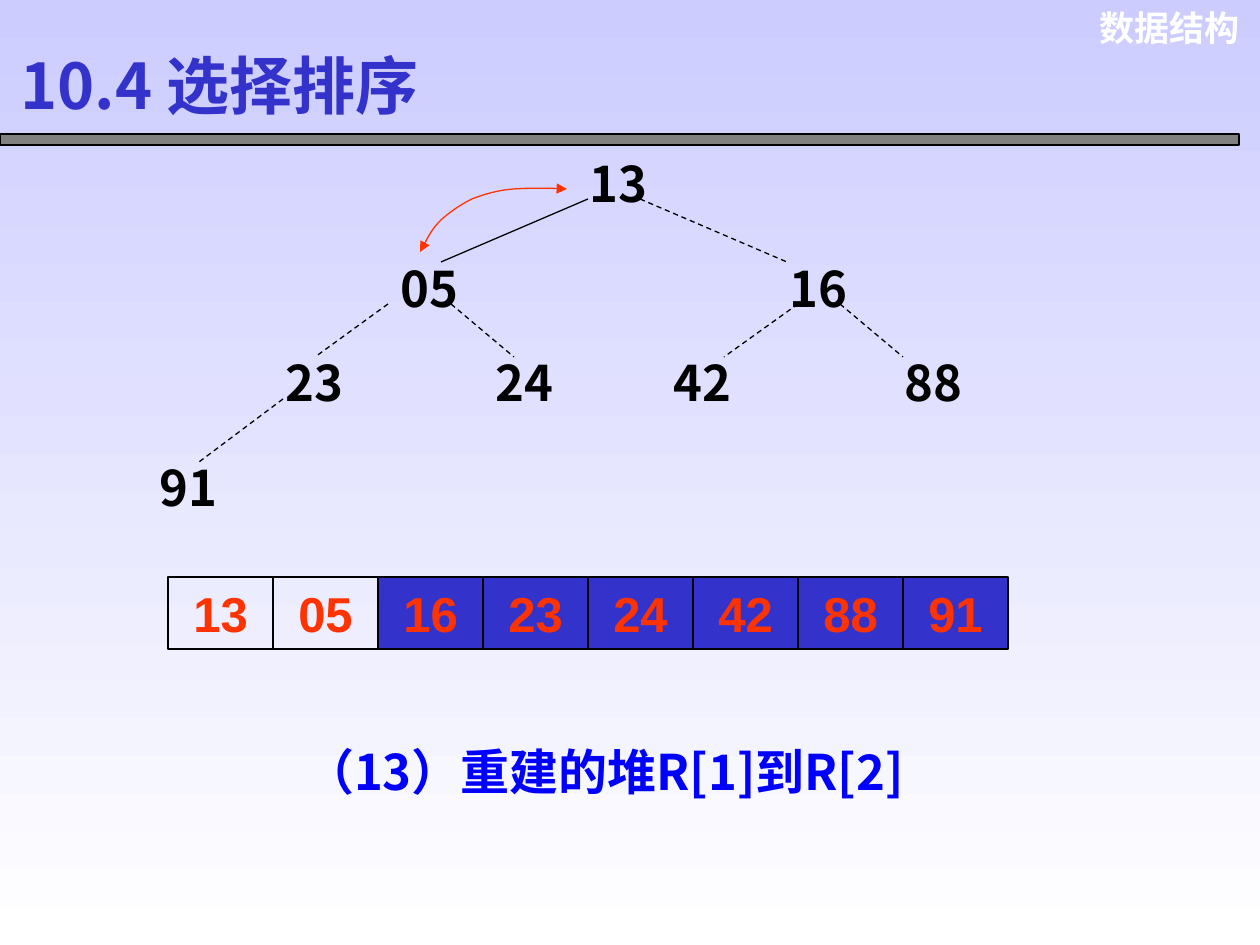
import lxml.etree
import pptx
import pptx.dml.color
import pptx.enum.dml
import pptx.enum.shapes
import pptx.enum.text
import pptx.oxml.ns
import pptx.util

# Content, lengths in px
PX = 914400 / 126
CJK = "Noto Sans CJK SC"
RED, BLUE, BLACK = "FF3300", "3333CC", "000000"

HEADER = "数据结构"
TITLE = "10.4 选择排序"
CAPTION = "（13）重建的堆R[1]到R[2]"

NODE_SIZE = (84, 72)
NODES = [  # text, left, top
    ("13", 577, 147),
    ("05", 388, 252), ("16", 777, 252),
    ("23", 273, 346), ("24", 483, 346), ("42", 661, 346), ("88", 892, 346),
    ("91", 147, 451),
]
EDGES = [  # from, to, dashed
    ((588, 199), (441, 262), False),
    ((640, 199), (787, 262), True),
    ((388, 304), (315, 357), True),
    ((451, 304), (514, 357), True),
    ((798, 304), (724, 357), True),
    ((840, 304), (903, 357), True),
    ((283, 399), (199, 462), True),
]
ARRAY = ["13", "05", "16", "23", "24", "42", "88", "91"]
HEAP_LENGTH = 2
ARRAY_LEFT, ARRAY_TOP, CELL_WIDTH, CELL_HEIGHT = 168, 577, 105, 72

SWAP_START = (420, 252)
SWAP_CURVES = [  # two control points and an end point
    ((426, 241), (432, 229), (441, 220)),
    ((450, 212), (460, 205), (472, 199)),
    ((485, 194), (499, 190), (514, 189)),
    ((530, 188), (548, 188), (567, 189)),
]


def emu(length):
    return pptx.util.Emu(round(length * PX))


def color(value):
    return pptx.dml.color.RGBColor.from_string(value)


def add_child(parent, tag, **attributes):
    return lxml.etree.SubElement(parent, pptx.oxml.ns.qn(tag), attributes)


def write(shape, text, size=28, font=CJK, fill=BLACK, align="LEFT", anchor="TOP"):
    frame = shape.text_frame
    frame.word_wrap = True
    frame.vertical_anchor = getattr(pptx.enum.text.MSO_ANCHOR, anchor)
    para = frame.paragraphs[0]
    para.alignment = getattr(pptx.enum.text.PP_ALIGN, align)
    span = para.add_run()
    span.text = text
    span.font.size = pptx.util.Pt(size)
    span.font.bold = True
    span.font.color.rgb = color(fill)
    span.font.name = font
    add_child(span.font._element, "a:ea", typeface=CJK)


def add_text(page, text, left, top, width, height, **style):
    box = page.shapes.add_textbox(*map(emu, (left, top, width, height)))
    write(box, text, **style)


def set_line(shape, value):
    shape.line.color.rgb = color(value)
    shape.line.width = pptx.util.Pt(0.75)


def add_rectangle(page, left, top, width, height, fill=None):
    box = page.shapes.add_shape(pptx.enum.shapes.MSO_SHAPE.RECTANGLE,
                                *map(emu, (left, top, width, height)))
    box.shadow.inherit = False
    if fill:
        box.fill.solid()
        box.fill.fore_color.rgb = color(fill)
    else:
        box.fill.background()
    set_line(box, BLACK)
    return box


def add_edge(page, start, end, dashed):
    edge = page.shapes.add_connector(pptx.enum.shapes.MSO_CONNECTOR.STRAIGHT,
                                     *map(emu, start + end))
    set_line(edge, BLACK)
    if dashed:
        edge.line.dash_style = pptx.enum.dml.MSO_LINE.DASH
    add_child(edge._element.spPr, "a:effectLst")


def add_swap_arrow(page):
    builder = page.shapes.build_freeform(*SWAP_START, scale=PX)
    anchors = [curve[-1] for curve in SWAP_CURVES]
    builder.add_line_segments(anchors, close=False)
    arrow = builder.convert_to_shape()
    arrow.shadow.inherit = False
    arrow.fill.background()
    set_line(arrow, RED)

    # Turn the straight segments into Bezier curves
    left = min(x for x, y in [SWAP_START] + anchors)
    top = min(y for x, y in [SWAP_START] + anchors)
    segments = list(arrow._element.iter(pptx.oxml.ns.qn("a:lnTo")))
    for segment, curve in zip(segments, SWAP_CURVES):
        bezier = add_child(segment.getparent(), "a:cubicBezTo")
        for x, y in curve:
            add_child(bezier, "a:pt", x=str(x - left), y=str(y - top))
        segment.getparent().replace(segment, bezier)

    line = arrow.line._get_or_add_ln()
    for end in ("a:headEnd", "a:tailEnd"):
        add_child(line, end, type="triangle")


def main():
    deck = pptx.Presentation()
    deck.slide_width, deck.slide_height = emu(1260), emu(945)
    page = deck.slides.add_slide(deck.slide_layouts[6])

    # Background gradient, top to bottom
    backdrop = page.background.fill
    backdrop.gradient()
    backdrop.gradient_angle = 270
    for stop, value in zip(backdrop.gradient_stops, ("CCCCFF", "FFFFFF")):
        stop.color.rgb = color(value)

    # Header, rule and title
    add_text(page, HEADER, 1080, 0, 172, 55, size=20, font="Arial",
             fill="FFFFFF", align="RIGHT")
    add_rectangle(page, 0, 134, 1239, 11, fill="808080")
    add_text(page, TITLE, 8, 37, 469, 95, size=36, fill=BLUE, anchor="MIDDLE")

    # Heap tree
    for text, left, top in NODES:
        add_text(page, text, left, top, *NODE_SIZE)
    for edge in EDGES:
        add_edge(page, *edge)
    add_swap_arrow(page)

    # Array: the sorted part is filled
    for index, text in enumerate(ARRAY):
        cell = add_rectangle(page, ARRAY_LEFT + index * CELL_WIDTH, ARRAY_TOP,
                             CELL_WIDTH, CELL_HEIGHT,
                             fill=BLUE if index >= HEAP_LENGTH else None)
        write(cell, text, font="Arial", fill=RED, align="CENTER")

    # Caption
    add_text(page, CAPTION, 242, 735, 725, 72, fill="0000FF", align="CENTER")

    deck.save("out.pptx")


if __name__ == "__main__":
    main()
